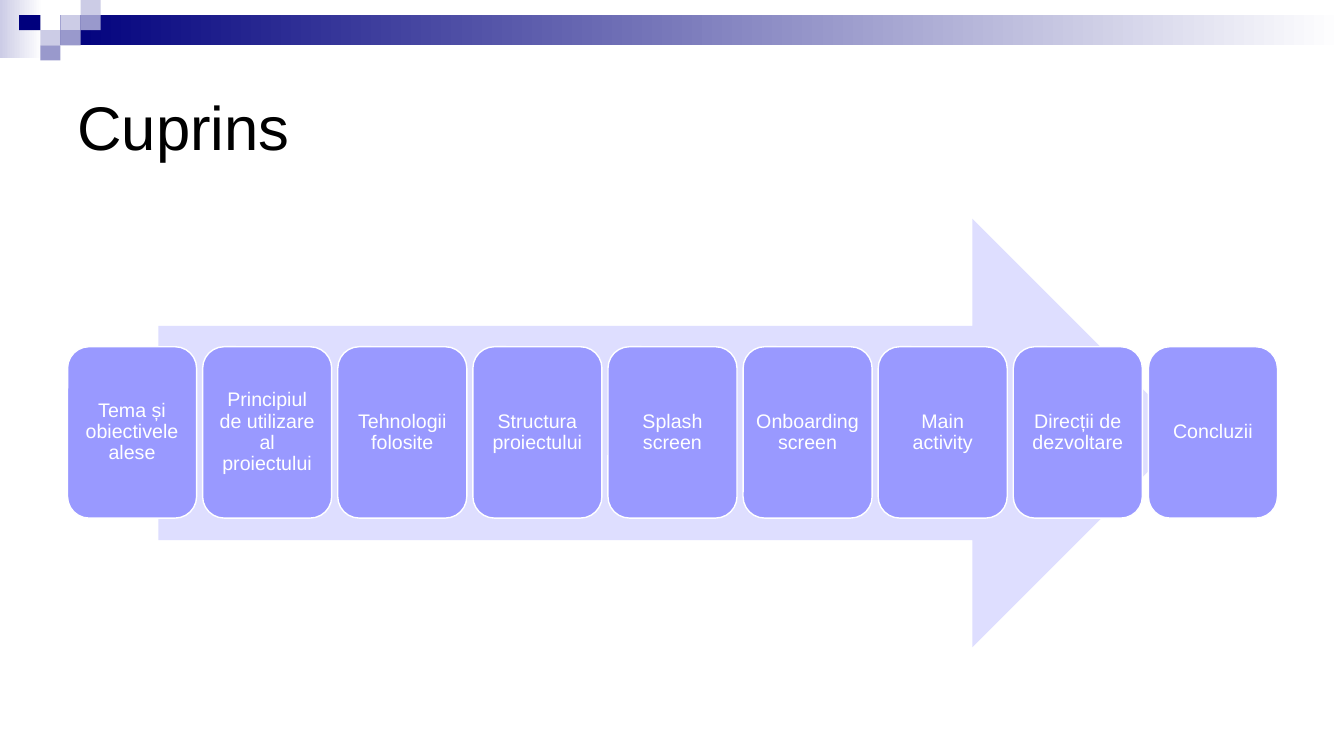
"""Build the contents slide: a row of topic cards on a broad arrow."""
from typing import NamedTuple

from pptx import Presentation
from pptx.dml.color import RGBColor
from pptx.enum.shapes import MSO_SHAPE
from pptx.enum.text import MSO_ANCHOR, PP_ALIGN
from pptx.shapes.autoshape import Shape
from pptx.slide import Slide
from pptx.text.text import TextFrame
from pptx.util import Inches, Pt

RECT = MSO_SHAPE.RECTANGLE
ROUND = MSO_SHAPE.ROUNDED_RECTANGLE
ARROW = MSO_SHAPE.RIGHT_ARROW
MIDDLE = MSO_ANCHOR.MIDDLE
LEFT = PP_ALIGN.LEFT
CENTER = PP_ALIGN.CENTER

BLACK = RGBColor(0x00, 0x00, 0x00)
WHITE = RGBColor(0xFF, 0xFF, 0xFF)
NAVY = RGBColor(0x00, 0x00, 0x7D)
MIST = RGBColor(0xCC, 0xCC, 0xE6)
SLATE = RGBColor(0x99, 0x99, 0xCC)
LILAC = RGBColor(0xDE, 0xDE, 0xFF)
VIOLET = RGBColor(0x99, 0x99, 0xFF)
FONT = "Arial"


class Box(NamedTuple):
    left: float
    top: float
    width: float
    height: float


class Block(NamedTuple):
    box: Box
    color: RGBColor
    fade: bool = False


TILE_W, TILE_H = 0.2, 0.15


def tile(col: int, row: int, color: RGBColor) -> Block:
    """Place a small square of the corner mosaic on its grid."""
    return Block(Box(col * TILE_W, row * TILE_H, TILE_W, TILE_H), color)


BLOCKS = [
    Block(Box(0, 0, 0.42, 0.58), MIST, True),
    Block(Box(0.6, 0.15, 12.73, 0.3), NAVY, True),
    tile(3, 1, MIST),
    tile(4, 0, MIST),
    tile(4, 1, SLATE),
    tile(2, 2, MIST),
    Block(Box(0.19, 0.15, 0.21, 0.15), NAVY),
    tile(3, 2, SLATE),
    tile(2, 3, SLATE),
]
TOPICS = [
    "Tema și obiectivele alese",
    "Principiul de utilizare al proiectului",
    "Tehnologii folosite",
    "Structura proiectului",
    "Splash screen",
    "Onboarding screen",
    "Main activity",
    "Direcții de dezvoltare",
    "Concluzii",
]
CARD = Box(0.67, 3.44, 1.28, 1.7)
STEP = 1.34
INSET = Inches(0.06)


def add_shape(slide: Slide, kind: MSO_SHAPE, box: Box, color: RGBColor) -> Shape:
    """Add a flat shape with a solid fill and no outline."""
    shape = slide.shapes.add_shape(kind, *map(Inches, box))
    shape.shadow.inherit = False
    shape.fill.solid()
    shape.fill.fore_color.rgb = color
    shape.line.fill.background()
    return shape


def add_block(slide: Slide, block: Block) -> None:
    """Add a header block, fading to white where asked."""
    shape = add_shape(slide, RECT, block.box, block.color)
    if block.fade:
        shape.fill.gradient()
        shape.fill.gradient_angle = 0
        for stop, color in zip(shape.fill.gradient_stops, (block.color, WHITE)):
            stop.color.rgb = color


def set_text(frame: TextFrame, text: str, size: int, color: RGBColor,
             align: PP_ALIGN) -> None:
    """Write one wrapped, vertically centred paragraph."""
    frame.word_wrap = True
    frame.vertical_anchor = MIDDLE
    para = frame.paragraphs[0]
    para.text = text
    para.alignment = align
    para.font.name = FONT
    para.font.size = Pt(size)
    para.font.color.rgb = color


def add_card(slide: Slide, index: int, topic: str) -> None:
    """Add one topic card at its place in the row."""
    box = CARD._replace(left=CARD.left + index * STEP)
    card = add_shape(slide, ROUND, box, VIOLET)
    card.line.color.rgb = WHITE
    card.line.width = Pt(1)
    frame = card.text_frame
    frame.margin_left = frame.margin_right = INSET
    frame.margin_top = frame.margin_bottom = INSET
    set_text(frame, topic, 14, WHITE, CENTER)
    frame.paragraphs[0].line_spacing = 0.9


def main() -> None:
    """Build and save the slide."""
    deck = Presentation()
    deck.slide_width = Inches(13.33)
    deck.slide_height = Inches(7.5)
    slide = deck.slides.add_slide(deck.slide_layouts[6])
    for block in BLOCKS:
        add_block(slide, block)
    title = slide.shapes.add_textbox(*map(Inches, Box(0.67, 0.5, 12, 1.5)))
    set_text(title.text_frame, "Cuprins", 44, BLACK, LEFT)
    add_shape(slide, ARROW, Box(1.57, 2.17, 10.2, 4.25), LILAC)
    for index, topic in enumerate(TOPICS):
        add_card(slide, index, topic)
    deck.save("out.pptx")


if __name__ == "__main__":
    main()
